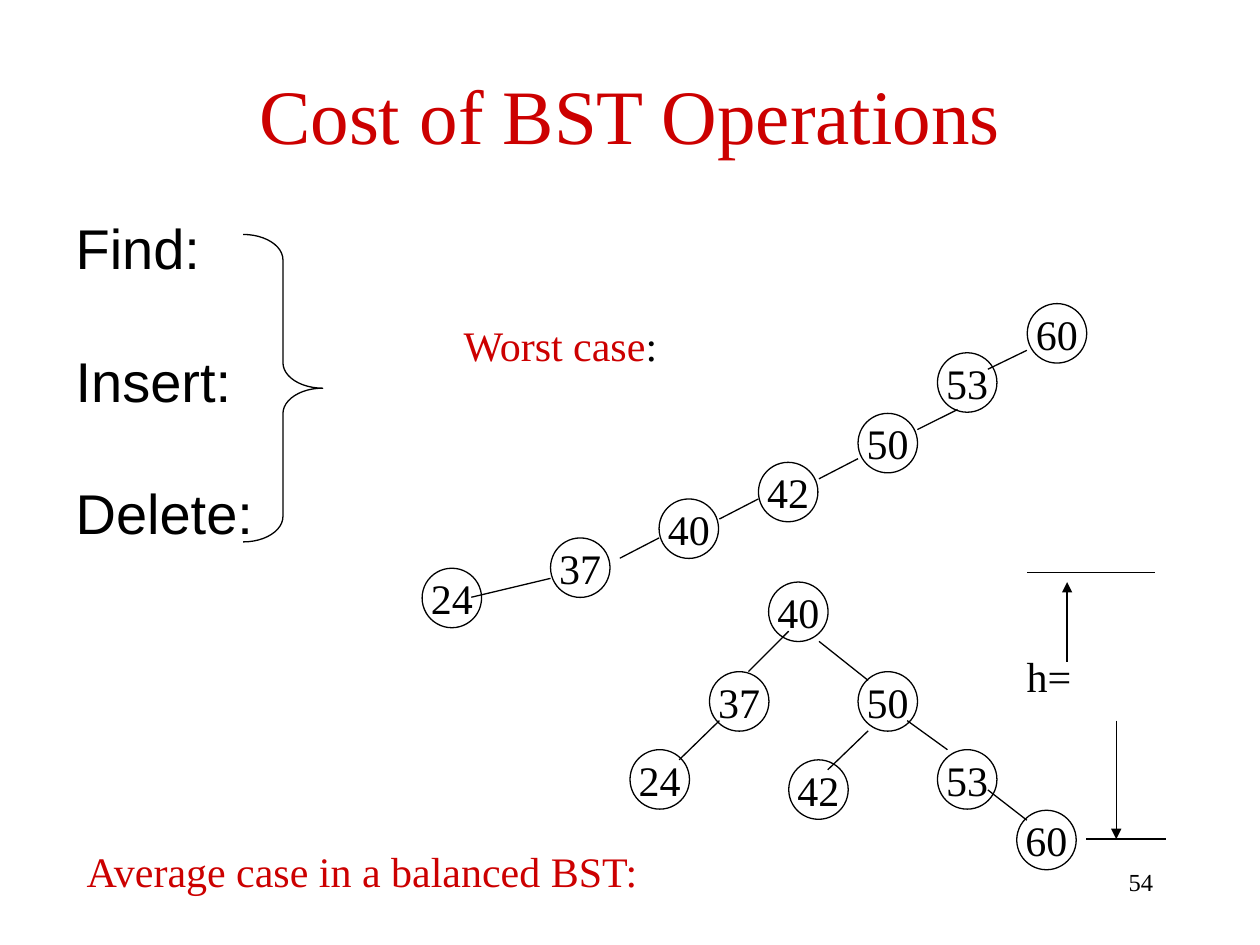
from lxml import etree
from pptx import Presentation
from pptx.dml.color import RGBColor
from pptx.enum.shapes import MSO_CONNECTOR, MSO_SHAPE
from pptx.enum.text import MSO_ANCHOR, MSO_AUTO_SIZE, PP_ALIGN
from pptx.oxml.ns import qn
from pptx.util import Pt

LEFT, CENTER, RIGHT = PP_ALIGN.LEFT, PP_ALIGN.CENTER, PP_ALIGN.RIGHT
MIDDLE = MSO_ANCHOR.MIDDLE
STRAIGHT = MSO_CONNECTOR.STRAIGHT
OVAL, BRACE = MSO_SHAPE.OVAL, MSO_SHAPE.RIGHT_BRACE
NO_FIT = MSO_AUTO_SIZE.NONE
SERIF, SANS = "Times New Roman", "Arial"
RED, BLACK = "CC0000", "000000"
NODE = 34

TITLE = "Cost of BST Operations"
OPERATIONS = ["Find:", "Insert:", "Delete:"]

WORST_NODES = [
    ("60", 587, 173.5), ("53", 535.7, 201.6), ("50", 490.3, 236.2),
    ("42", 433.4, 264.2), ("40", 376.6, 285.1), ("37", 314.6, 307.4),
    ("24", 241.2, 324.7),
]
WORST_EDGES = [
    (586.8, 200.2, 564.5, 211), (547.2, 234, 524.2, 245.5),
    (490.3, 262.1, 468, 273.6), (433.4, 285.1, 411.1, 296.6),
    (376.6, 307.4, 354.2, 319), (314.6, 330.5, 269.3, 341.3),
]
BALANCED_NODES = [
    ("40", 439.2, 332.6), ("37", 405.4, 383.8), ("50", 490.3, 383.8),
    ("24", 360, 428.4), ("42", 450.7, 434.2), ("53", 535.7, 428.4),
    ("60", 581, 463),
]
BALANCED_EDGES = [
    (468, 366.5, 496.1, 388.8), (450.7, 360.7, 427.7, 383.8),
    (411.1, 411.8, 388.1, 434.2), (496.1, 417.6, 473, 439.9),
    (518.4, 411.8, 541.4, 428.4), (564.5, 451.4, 586.8, 468.7),
]
HEIGHT_LIMITS = [(587, 327, 660.2, 327), (620.6, 479.5, 666, 479.5)]
HEIGHT_ARROWS = [(609.8, 378, 609.8, 332.6), (637.9, 411.8, 637.9, 479.5)]

LABELS = [
    ([("Average case in a balanced BST:", RED)], (42.5, 479.5, 332, 36), 24, LEFT),
    ([("h=", BLACK)], (579.6, 368, 40.3, 36), 24, LEFT),
    ([("Worst case", RED), (":", BLACK)], (257.8, 179.3, 126.7, 36), 24, LEFT),
    ([("54", BLACK)], (516.2, 491.8, 149.8, 36), 14, RIGHT),
]


def rgb(value):
    return RGBColor.from_string(value)


def place(sp, left, top, width, height):
    sp.left, sp.top, sp.width, sp.height = map(Pt, (left, top, width, height))


def style(p, name, size, align, color=BLACK):
    p.alignment = align
    p.font.name, p.font.size = name, Pt(size)
    p.font.color.rgb = rgb(color)


def outline(sp):
    sp.line.color.rgb = rgb(BLACK)
    sp.line.width = Pt(0.75)


def add_outline_shape(s, kind, left, top, width, height):
    sp = s.shapes.add_shape(kind, *map(Pt, (left, top, width, height)))
    sp.shadow.inherit = False
    sp.fill.background()
    outline(sp)
    return sp


def add_node(s, key, left, top):
    tf = add_outline_shape(s, OVAL, left, top, NODE, NODE).text_frame
    tf.word_wrap = False
    tf.vertical_anchor = MIDDLE
    p = tf.paragraphs[0]
    p.text = key
    style(p, SERIF, 24, CENTER)


def add_line(s, ends, arrow=False):
    line = s.shapes.add_connector(STRAIGHT, *map(Pt, ends))
    outline(line)
    props = line.line._get_or_add_ln()
    if arrow:
        etree.SubElement(props, qn("a:tailEnd"), type="triangle")
    etree.SubElement(props.getparent(), qn("a:effectLst"))


def add_label(s, runs, box, size, align):
    tf = s.shapes.add_textbox(*map(Pt, box)).text_frame
    tf.word_wrap = align == RIGHT
    p = tf.paragraphs[0]
    style(p, SERIF, size, align)
    for text, color in runs:
        r = p.add_run()
        r.text = text
        r.font.color.rgb = rgb(color)


def fill_title(title):
    place(title, 36, 28.8, 648, 72)
    title.text = TITLE
    title.text_frame.auto_size = NO_FIT
    title.text_frame.vertical_anchor = MIDDLE
    style(title.text_frame.paragraphs[0], SERIF, 44, CENTER, RED)


def fill_operations(body):
    place(body, 36, 126, 648, 210)
    tf = body.text_frame
    tf.text = "\n".join(OPERATIONS)
    tf.auto_size = NO_FIT
    for i, p in enumerate(tf.paragraphs):
        props = p._p.get_or_add_pPr()
        props.set("marL", str(Pt(27)))
        props.set("indent", str(-Pt(27)))
        etree.SubElement(props, qn("a:buNone"))
        p.line_spacing = 0.8
        p.space_before = Pt(45 if i else 0)
        style(p, SANS, 32, LEFT)


def main():
    prs = Presentation()
    prs.slide_width, prs.slide_height = Pt(720), Pt(540)
    s = prs.slides.add_slide(prs.slide_layouts[1])
    fill_title(s.shapes.title)
    fill_operations(s.placeholders[1])

    brace = add_outline_shape(s, BRACE, 139, 134, 45.4, 175.7)
    brace.adjustments[0] = 0.32
    brace.adjustments[1] = 0.5

    for node in WORST_NODES + BALANCED_NODES:
        add_node(s, *node)
    for ends in WORST_EDGES + BALANCED_EDGES + HEIGHT_LIMITS:
        add_line(s, ends)
    for ends in HEIGHT_ARROWS:
        add_line(s, ends, arrow=True)
    for label in LABELS:
        add_label(s, *label)
    prs.save("out.pptx")


if __name__ == "__main__":
    main()
